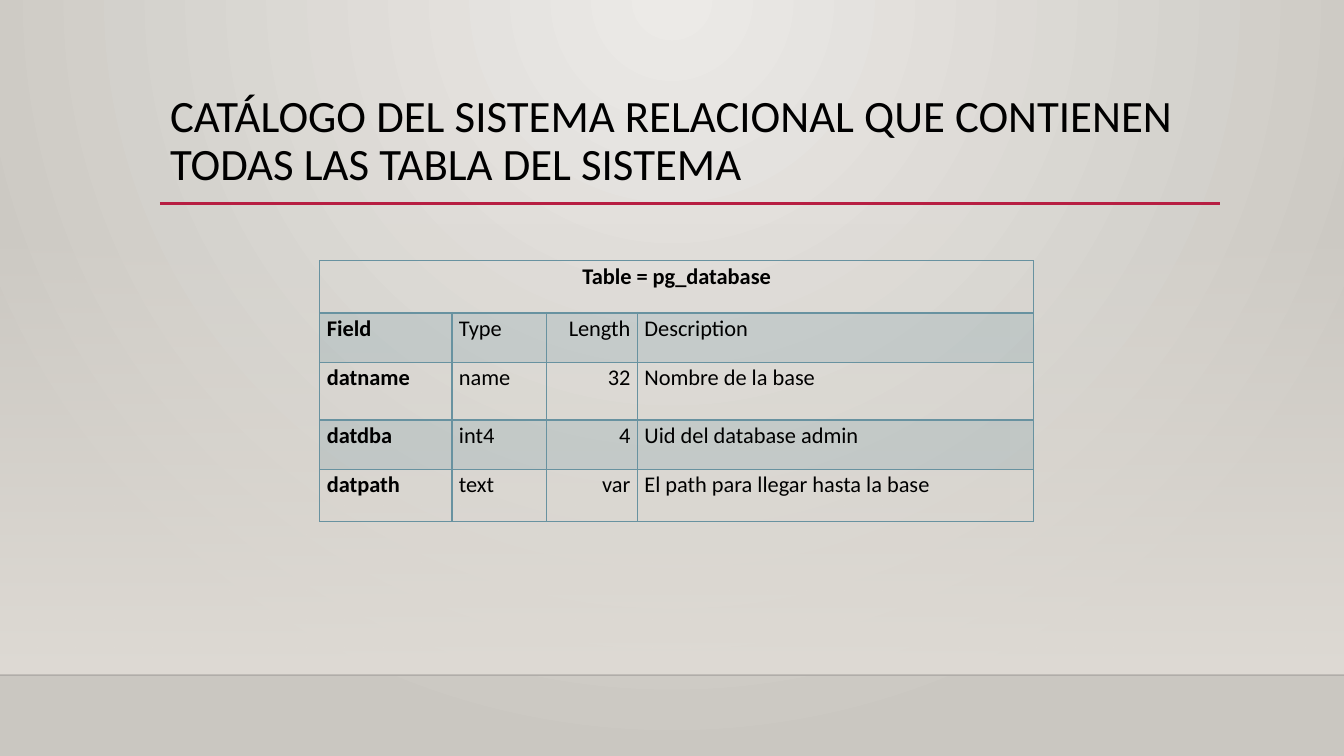
import pptx
import pptx.util
import pptx.dml.color
import pptx.enum.shapes
import pptx.enum.text
import pptx.oxml.ns
import lxml.etree

qn = pptx.oxml.ns.qn
Pt = pptx.util.Pt
Inches = pptx.util.Inches
RGB = pptx.dml.color.RGBColor.from_string
ALIGN = pptx.enum.text.PP_ALIGN
ANCHOR = pptx.enum.text.MSO_ANCHOR

THEME = {
    "font": "Calibri", "ink": "000000", "title": 32, "body": 16,
    "glow": "ECEAE7", "edge": "CAC7C1", "wall": "DFDBD5",
    "floor": "000001", "accent": "B71E42", "grid": "6892A0",
}


def write(frame, text, size=THEME["body"], bold=False, align=ALIGN.LEFT, spacing=1.07):
    paragraph = frame.paragraphs[0]
    paragraph.alignment = align
    paragraph.line_spacing = spacing
    run = paragraph.add_run()
    run.text = text
    run.font.name = THEME["font"]
    run.font.size = Pt(size)
    run.font.bold = bold
    run.font.color.rgb = RGB(THEME["ink"])


def fade(element, percent):
    for color in element.iter(qn("a:srgbClr")):
        lxml.etree.SubElement(color, qn("a:alpha"), val=str(percent * 1000))


deck = pptx.Presentation()
deck.slide_width = Inches(13.33)
deck.slide_height = Inches(7.5)
W, H = deck.slide_width, deck.slide_height
slide = deck.slides.add_slide(deck.slide_layouts[5])

backdrop = slide.background.fill
backdrop.gradient()
for stop, color in zip(backdrop.gradient_stops, (THEME["glow"], THEME["edge"])):
    stop.color.rgb = RGB(color)
radial = next(slide.element.iter(qn("a:gradFill")))
radial.remove(radial.find(qn("a:lin")))
circle = lxml.etree.SubElement(radial, qn("a:path"), path="circle")
lxml.etree.SubElement(circle, qn("a:fillToRect"), l="43000", t="0", r="43000", b="100000")

floor_y = round(H * 0.893)
wall_y = round(H * 0.295)
wall = slide.shapes.add_shape(
    pptx.enum.shapes.MSO_SHAPE.RECTANGLE, 0, wall_y, W, floor_y - wall_y)
wall.shadow.inherit = False
wall.line.fill.background()
wall.fill.gradient()
wall.fill.gradient_angle = 270
for stop in wall.fill.gradient_stops:
    stop.color.rgb = RGB(THEME["wall"])
fade(next(wall._element.iter(qn("a:gs"))), 0)

left = round(W * 0.119)
rules = [
    (0, W, floor_y, THEME["floor"], 1, 20),
    (left, round(W * 0.908), round(H * 0.269), THEME["accent"], 2.5, 100),
]
for start, end, y, color, weight, opacity in rules:
    rule = slide.shapes.add_connector(
        pptx.enum.shapes.MSO_CONNECTOR.STRAIGHT, start, y, end, y)
    rule.line.color.rgb = RGB(color)
    rule.line.width = Pt(weight)
    fade(rule._element.spPr, opacity)
    lxml.etree.SubElement(rule._element.spPr, qn("a:effectLst"))

heading = slide.shapes.title
heading.left, heading.top = left, round(H * 0.117)
heading.width, heading.height = Inches(10.5), Inches(1.15)
heading.text_frame.word_wrap = True
heading.text_frame.auto_size = pptx.enum.text.MSO_AUTO_SIZE.NONE
heading.text_frame.vertical_anchor = ANCHOR.TOP
write(heading.text_frame,
      "CATÁLOGO DEL SISTEMA RELACIONAL QUE CONTIENEN TODAS LAS TABLA DEL SISTEMA",
      size=THEME["title"], spacing=0.9)

catalog = [
    ("Table = pg_database", "", "", ""),
    ("Field", "Type", "Length", "Description"),
    ("datname", "name", "32", "Nombre de la base"),
    ("datdba", "int4", "4", "Uid del database admin"),
    ("datpath", "text", "var", "El path para llegar hasta la base"),
]
column_widths = (1.31, 0.94, 0.9, 3.93)
row_heights = (0.52, 0.49, 0.57, 0.49, 0.52)
fields = slide.shapes.add_table(
    len(catalog), len(column_widths), round(W * 0.238), round(H * 0.345),
    Inches(sum(column_widths)), Inches(sum(row_heights))).table
fields.first_row = False
fields.horz_banding = False
for column, width in zip(fields.columns, column_widths):
    column.width = Inches(width)
for row, height in zip(fields.rows, row_heights):
    row.height = Inches(height)
fields.cell(0, 0).merge(fields.cell(0, len(column_widths) - 1))

for r, record in enumerate(catalog):
    for c, value in enumerate(record):
        cell = fields.cell(r, c)
        cell.margin_left = cell.margin_right = Inches(0.07)
        cell.margin_top = cell.margin_bottom = 0
        cell.vertical_anchor = ANCHOR.TOP
        properties = cell._tc.get_or_add_tcPr()
        for side in ("lnL", "lnR", "lnT", "lnB"):
            weight = 2 if (r, side) in ((0, "lnB"), (1, "lnT")) else 1
            border = lxml.etree.SubElement(properties, qn("a:" + side), w=str(Pt(weight)))
            paint = lxml.etree.SubElement(border, qn("a:solidFill"))
            lxml.etree.SubElement(paint, qn("a:srgbClr"), val=THEME["grid"])
        if r % 2:
            cell.fill.solid()
            cell.fill.fore_color.rgb = RGB(THEME["grid"])
            fade(properties.find(qn("a:solidFill")), 20)
        else:
            cell.fill.background()
        if value:
            align = ALIGN.CENTER if r == 0 else ALIGN.RIGHT if c == 2 else ALIGN.LEFT
            write(cell.text_frame, value, bold=c == 0, align=align)

deck.save("out.pptx")
